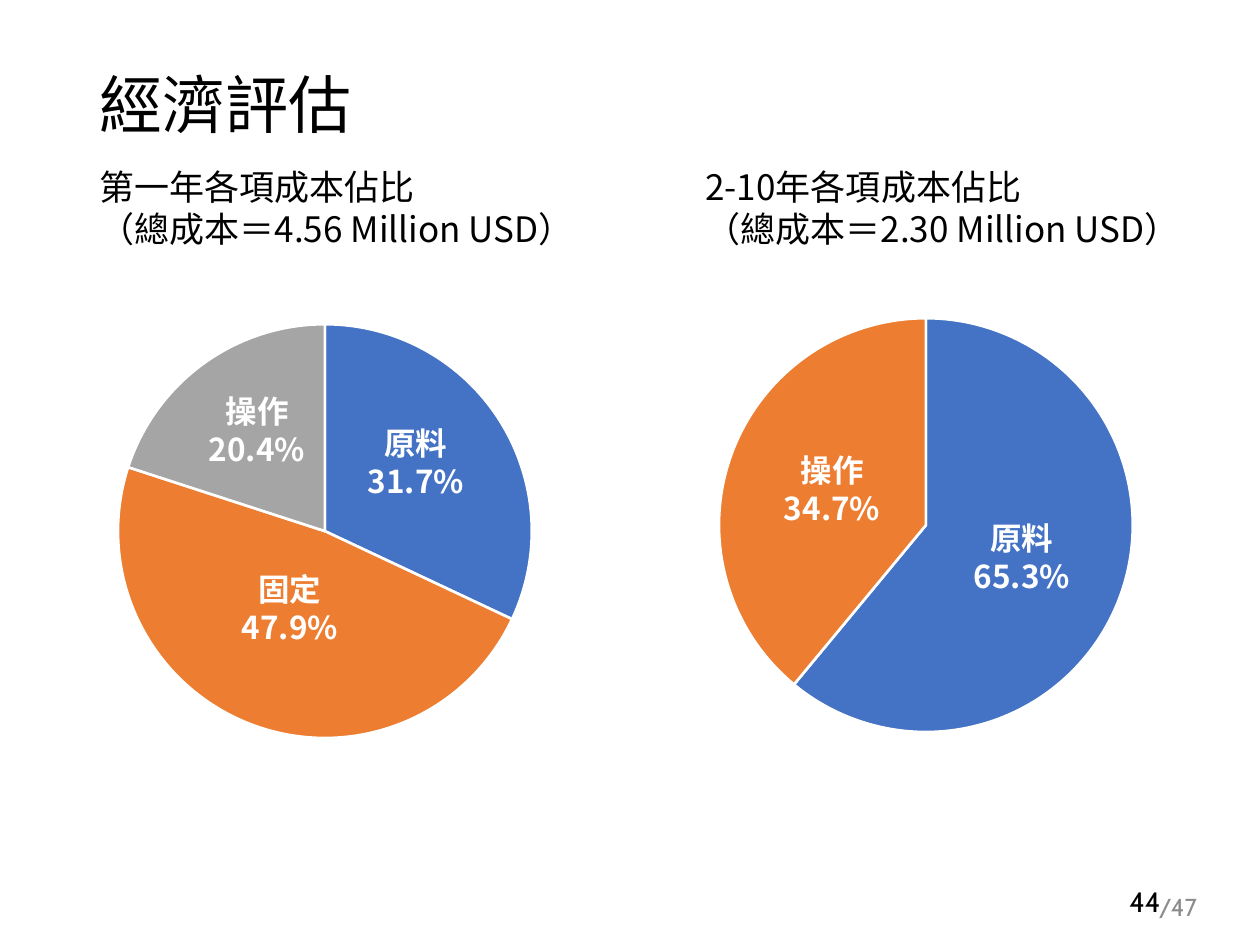
"""Build the cost share slide with two labelled pie charts."""
from dataclasses import dataclass

from lxml import etree
from pptx import Presentation
from pptx.chart.data import CategoryChartData
from pptx.dml.color import RGBColor
from pptx.enum.chart import XL_CHART_TYPE
from pptx.enum.text import MSO_ANCHOR, PP_ALIGN
from pptx.oxml import parse_xml
from pptx.oxml.ns import nsdecls, qn
from pptx.util import Emu, Pt

PIE = XL_CHART_TYPE.PIE
LEFT, CENTER, RIGHT = PP_ALIGN.LEFT, PP_ALIGN.CENTER, PP_ALIGN.RIGHT
TOP, MIDDLE = MSO_ANCHOR.TOP, MSO_ANCHOR.MIDDLE
PX = 914400 / 126
PIE_SIZE = 416
CHART_WIDTH, CHART_HEIGHT = 650, 465
CABIN, NOTO = "Cabin", "Noto Sans CJK SC"
COLORS = {"black": "000000", "gray": "8C8C8C", "white": "FFFFFF",
          "blue": "4472C4", "orange": "ED7D31", "silver": "A5A5A5"}
SLICE_COLORS = ("blue", "orange", "silver")


@dataclass(frozen=True)
class Text:
    lines: tuple[str, ...]
    box: tuple[int, int, int, int]
    size: int
    font: str = NOTO
    color: str = "black"
    bold: bool = False
    align: PP_ALIGN = LEFT
    anchor: MSO_ANCHOR = TOP
    spacing: float = 1.0


@dataclass(frozen=True)
class Label:
    name: str
    share: str
    left: int
    top: int
    width: int


@dataclass(frozen=True)
class CostPie:
    left: int
    top: int
    values: tuple[int, ...]
    labels: tuple[Label, ...]
    heading: Text


TEXTS = (
    Text(("經濟評估",), (87, 50, 1086, 116), 36, CABIN, anchor=MIDDLE, spacing=0.9),
    Text(("/47",), (965, 882, 426, 50), 14, CABIN, "gray", align=CENTER, anchor=MIDDLE),
    Text(("44",), (890, 876, 283, 50), 16, CABIN, align=RIGHT, anchor=MIDDLE),
)
PIES = (
    CostPie(0, 301, (32, 48, 20),
            (Label("原料", "31.7%", 329, 418, 174),
             Label("固定", "47.9%", 203, 564, 174),
             Label("操作", "20.4%", 178, 386, 158)),
            Text(("第一年各項成本佔比", "（總成本＝4.56 Million USD）"),
                 (87, 159, 543, 97), 20)),
    CostPie(601, 295, (61, 39),
            (Label("原料", "65.3%", 935, 513, 174),
             Label("操作", "34.7%", 753, 445, 158)),
            Text(("2-10年各項成本佔比", "（總成本＝2.30 Million USD）"),
                 (693, 159, 543, 97), 20)),
)


def px(value: int) -> Emu:
    return Emu(round(value * PX))


def rgb(name: str) -> RGBColor:
    return RGBColor.from_string(COLORS[name])


def apply_format(target, values: dict) -> None:
    for name, value in values.items():
        setattr(target, name, value)


def add_text(shapes, text: Text) -> None:
    frame = shapes.add_textbox(*map(px, text.box)).text_frame
    apply_format(frame, {"word_wrap": True, "vertical_anchor": text.anchor,
                         "text": "\n".join(text.lines)})
    for paragraph in frame.paragraphs:
        apply_format(paragraph, {"alignment": text.align, "line_spacing": text.spacing})
        for run in paragraph.runs:
            apply_format(run.font, {"name": text.font, "size": Pt(text.size),
                                    "bold": text.bold})
            run.font.color.rgb = rgb(text.color)
            etree.SubElement(run.font._element, qn("a:ea"), typeface=text.font)


def set_plot_area(chart) -> None:
    width, height = PIE_SIZE / CHART_WIDTH, PIE_SIZE / CHART_HEIGHT
    values = {"x": (1 - width) / 2, "y": (1 - height) / 2, "w": width, "h": height}
    sizes = "".join(f'<c:{key} val="{value:.2f}"/>' for key, value in values.items())
    layout = parse_xml(
        f'<c:layout {nsdecls("c")}><c:manualLayout><c:layoutTarget val="inner"/>'
        f'<c:xMode val="edge"/><c:yMode val="edge"/>{sizes}</c:manualLayout></c:layout>')
    plot_area = chart._chartSpace.chart.plotArea
    for old_layout in plot_area.findall(qn("c:layout")):
        plot_area.remove(old_layout)
    plot_area.insert(0, layout)


def add_pie(shapes, pie: CostPie) -> None:
    data = CategoryChartData()
    data.categories = [str(number + 1) for number in range(len(pie.values))]
    data.add_series("Series 1", pie.values)
    box = (pie.left, pie.top, CHART_WIDTH, CHART_HEIGHT)
    chart = shapes.add_chart(PIE, *map(px, box), data).chart
    apply_format(chart, {"has_legend": False, "has_title": False})
    apply_format(chart.font, {"name": CABIN, "size": Pt(10)})
    chart.font.color.rgb = rgb("black")
    plot = chart.plots[0]
    plot.vary_by_categories = True
    for index, color in enumerate(SLICE_COLORS[:len(pie.values)]):
        slice_format = plot.series[0].points[index].format
        slice_format.fill.solid()
        slice_format.fill.fore_color.rgb = rgb(color)
        slice_format.line.color.rgb = rgb("white")
        slice_format.line.width = Pt(1.5)
    set_plot_area(chart)


def add_cost_pie(slide, pie: CostPie) -> None:
    group = slide.shapes.add_group_shape()
    add_pie(group.shapes, pie)
    for label in pie.labels:
        add_text(group.shapes, Text((label.name, label.share),
                                    (label.left, label.top, label.width, 89),
                                    18, color="white", bold=True, align=CENTER))
    add_text(slide.shapes, pie.heading)


def main() -> None:
    presentation = Presentation()
    apply_format(presentation, {"slide_width": px(1260), "slide_height": px(945)})
    slide = presentation.slides.add_slide(presentation.slide_layouts[6])
    for text in TEXTS:
        add_text(slide.shapes, text)
    for pie in PIES:
        add_cost_pie(slide, pie)
    presentation.save("out.pptx")


if __name__ == "__main__":
    main()
